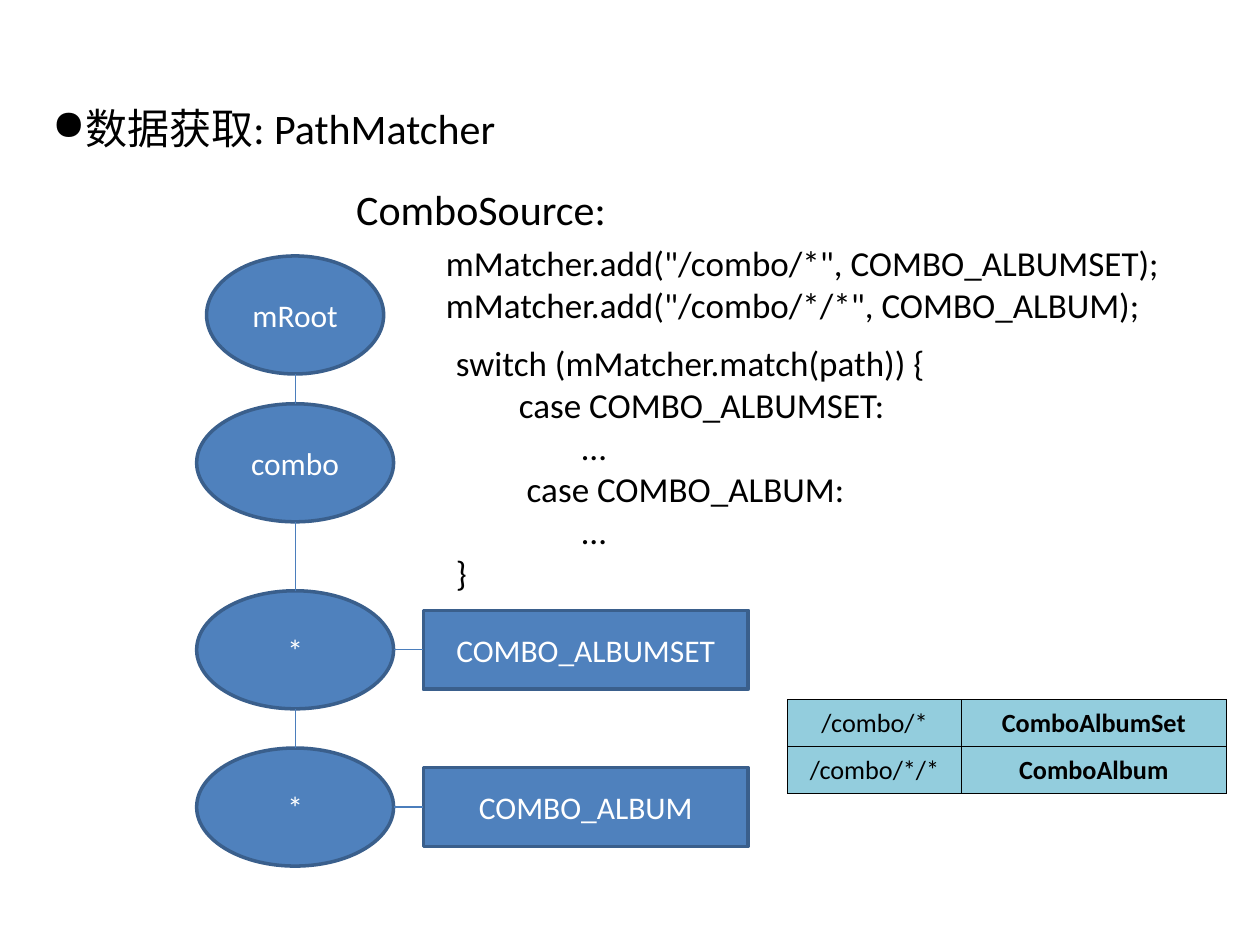
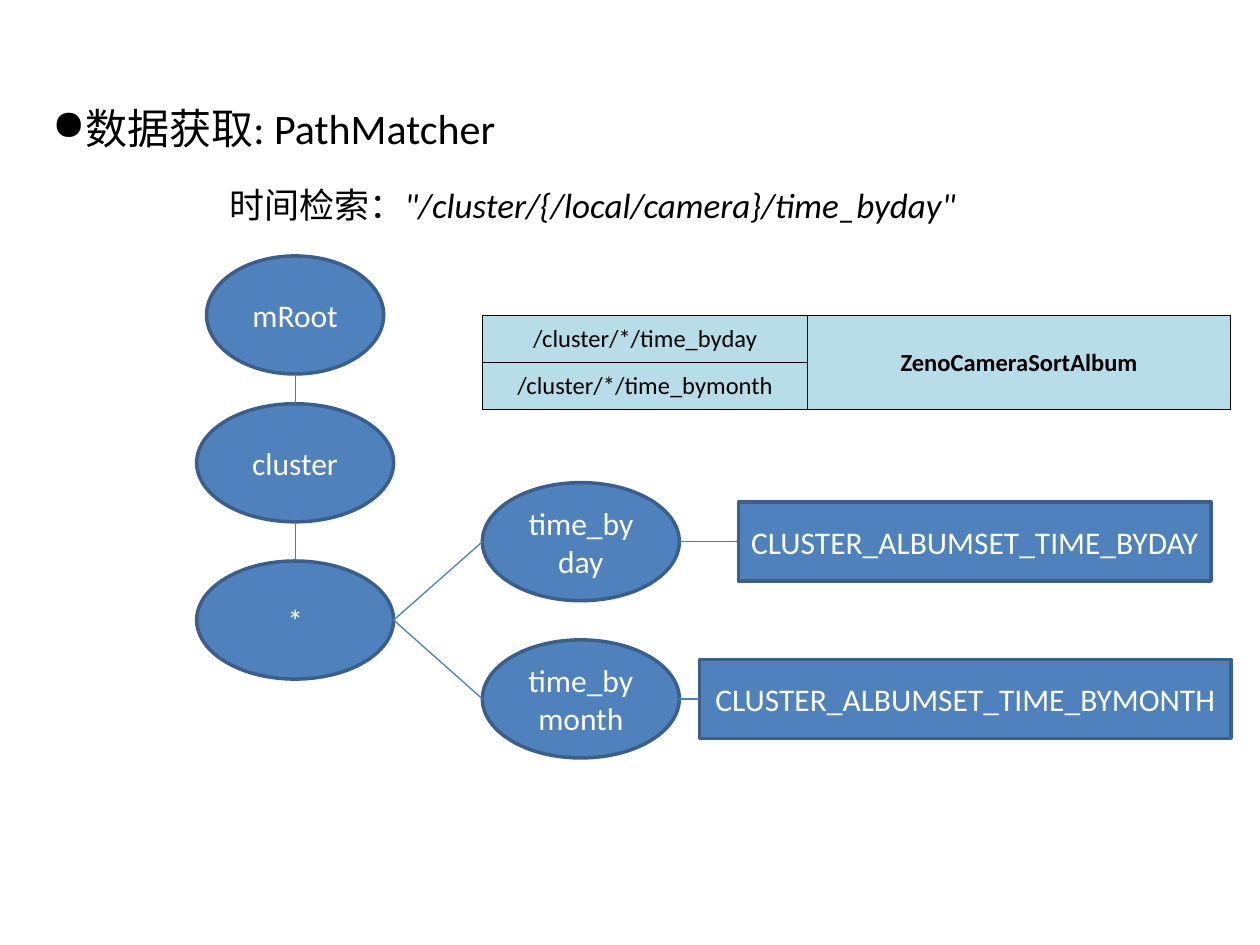
from lxml import etree
from pptx import Presentation
from pptx import util as u
from pptx.dml import color
from pptx.enum import shapes, text
from pptx.oxml import ns

COLORS = {
    "ink": "000000",
    "white": "FFFFFF",
    "node": "4F81BD",
    "node_edge": "3A5F8C",
    "link": "4B7EBC",
    "teal": "93CDDD",
    "pale_teal": "B6DDE8",
}
FONT = "Calibri"
NODE_WIDTH, ROOT_WIDTH, NODE_HEIGHT = 3.97, 3.57, 2.38
LABEL_HEIGHT = 1.59
ROW_HEIGHT = 0.95
TRUNK_X, BRANCH_X = 5.95, 11.71
ROOT_Y, FIRST_Y = 6.35, 9.33
TOP, LEFT = 0, 1


def rgb(name):
    return color.RGBColor.from_string(COLORS[name])


class SlideWriter:
    """Holds the style and the current slide; all lengths are centimetres."""

    def __init__(self, deck):
        self.deck = deck
        self.page = None

    def new_page(self):
        self.page = self.deck.slides.add_slide(self.deck.slide_layouts[6])
        self.title("数据获取: PathMatcher")

    def add_span(self, para, words, size, ink="ink", bold=False, italic=False):
        span = para.add_run()
        span.text = words
        span.font.name = FONT
        span.font.size = u.Pt(size)
        span.font.bold = bold
        span.font.italic = italic
        span.font.color.rgb = rgb(ink)

    def text_box(self, left, top, width, height, lines, size):
        """Each line is a list of (words, italic) pairs."""
        box = self.page.shapes.add_textbox(
            u.Cm(left), u.Cm(top), u.Cm(width), u.Cm(height))
        frame = box.text_frame
        frame.word_wrap = True
        for index, line in enumerate(lines):
            para = frame.add_paragraph() if index else frame.paragraphs[0]
            for words, italic in line:
                self.add_span(para, words, size, italic=italic)
        return box

    def title(self, words):
        box = self.text_box(0.8, 1.78, 18.36, 1.6, [[(words, False)]], 24)
        box.text_frame.vertical_anchor = text.MSO_ANCHOR.MIDDLE
        props = box.text_frame.paragraphs[0]._p.get_or_add_pPr()
        indent = u.Cm(0.57)
        props.set("marL", str(indent))
        props.set("indent", str(-indent))
        etree.SubElement(props, ns.qn("a:buChar"), char="●")

    def shape(self, kind, center_x, center_y, width, height, words):
        box = self.page.shapes.add_shape(
            kind, u.Cm(center_x - width / 2), u.Cm(center_y - height / 2),
            u.Cm(width), u.Cm(height))
        box.shadow.inherit = False
        box.fill.solid()
        box.fill.fore_color.rgb = rgb("node")
        box.line.color.rgb = rgb("node_edge")
        box.line.width = u.Pt(2)
        frame = box.text_frame
        frame.word_wrap = True
        frame.vertical_anchor = text.MSO_ANCHOR.MIDDLE
        para = frame.paragraphs[0]
        para.alignment = text.PP_ALIGN.CENTER
        self.add_span(para, words, 18, "white")
        return box

    def node(self, center_x, center_y, words, width=NODE_WIDTH):
        return self.shape(shapes.MSO_SHAPE.OVAL, center_x, center_y,
                          width, NODE_HEIGHT, words)

    def label(self, node, center_x, width, words):
        """A rectangle level with a node and linked to its right side."""
        center_y = u.Length(node.top + node.height // 2).cm
        box = self.shape(shapes.MSO_SHAPE.RECTANGLE, center_x, center_y,
                         width, LABEL_HEIGHT, words)
        box.text_frame.margin_left = box.text_frame.margin_right = u.Cm(0.1)
        self.link_right(node, box)

    def link(self, start_x, start_y, target, side):
        line = self.page.shapes.add_connector(
            shapes.MSO_CONNECTOR.STRAIGHT, start_x, start_y, start_x, start_y)
        line.end_connect(target, side)
        line.line.color.rgb = rgb("link")
        line.line.width = u.Pt(0.75)
        etree.SubElement(line._element.spPr, ns.qn("a:effectLst"))
        return line

    def link_down(self, upper, lower):
        self.link(upper.left + upper.width // 2, upper.top + upper.height,
                  lower, TOP)

    def link_right(self, node, target):
        line = self.link(node.left + node.width, node.top + node.height // 2,
                         target, LEFT)
        if target.auto_shape_type == shapes.MSO_SHAPE.OVAL:
            # The left side of an oval is a different connection site.
            end_x, end_y = line.end_x, line.end_y
            for joint in line._element.iter(ns.qn("a:endCxn")):
                joint.set("idx", "2")
            line.end_x, line.end_y = end_x, end_y

    def trunk(self, names, centers):
        """A chain of nodes from the root downwards."""
        nodes = [self.node(TRUNK_X, ROOT_Y, "mRoot", ROOT_WIDTH)]
        for words, center_y in zip(names, centers):
            nodes.append(self.node(TRUNK_X, center_y, words))
            self.link_down(*nodes[-2:])
        return nodes

    def border(self, cell):
        props = cell._tc.get_or_add_tcPr()
        for side in ("lnL", "lnR", "lnT", "lnB"):
            edge = etree.SubElement(props, ns.qn("a:" + side), w=str(u.Pt(0.5)))
            fill = etree.SubElement(edge, ns.qn("a:solidFill"))
            etree.SubElement(fill, ns.qn("a:srgbClr"), val=COLORS["ink"])

    def table(self, left, top, widths, rows, size, fill):
        """The last column is bold; None continues the cell above."""
        grid = self.page.shapes.add_table(
            len(rows), len(widths), u.Cm(left), u.Cm(top),
            u.Cm(sum(widths)), u.Cm(ROW_HEIGHT * len(rows))).table
        grid.first_row = grid.horz_banding = False
        for column, width in zip(grid.columns, widths):
            column.width = u.Cm(width)
        for r, row in enumerate(rows):
            grid.rows[r].height = u.Cm(ROW_HEIGHT)
            for c, words in enumerate(row):
                cell = grid.cell(r, c)
                self.border(cell)
                cell.fill.solid()
                cell.fill.fore_color.rgb = rgb(fill)
                cell.margin_left = cell.margin_right = u.Cm(0.03)
                cell.margin_top, cell.margin_bottom = u.Cm(0.03), 0
                cell.vertical_anchor = text.MSO_ANCHOR.MIDDLE
                if words is None:
                    grid.cell(r - 1, c).merge(cell)
                    continue
                para = cell.text_frame.paragraphs[0]
                para.alignment = text.PP_ALIGN.CENTER
                self.add_span(para, words, size, bold=c == len(widths) - 1)


def combo_page(writer):
    writer.new_page()

    # Code excerpt
    writer.text_box(6.93, 3.58, 13.69, 1.27, [[("ComboSource:", False)]], 24)
    matcher_lines = [
        'mMatcher.add("/combo/*", COMBO_ALBUMSET);',
        'mMatcher.add("/combo/*/*", COMBO_ALBUM);',
    ]
    switch_lines = [
        "switch (mMatcher.match(path)) {",
        "\tcase COMBO_ALBUMSET:",
        "\t\t…",
        "\t case COMBO_ALBUM:",
        "\t\t…",
        "}",
    ]
    for left, top, width, height, lines in (
            (8.74, 4.75, 16.08, 1.96, matcher_lines),
            (8.94, 6.76, 12.9, 5.38, switch_lines)):
        writer.text_box(left, top, width, height,
                        [[(line, False)] for line in lines], 20)

    # Path tree with its match results
    nodes = writer.trunk(["combo", "*", "*"], [FIRST_Y, 13.1, 16.27])
    for node, words in zip(nodes[2:], ["COMBO_ALBUMSET", "COMBO_ALBUM"]):
        writer.label(node, 11.81, 6.55, words)

    # Path to class table
    writer.table(15.88, 14.1, [3.5, 5.34],
                 [["/combo/*", "ComboAlbumSet"],
                  ["/combo/*/*", "ComboAlbum"]], 15, "teal")


def cluster_page(writer):
    writer.new_page()
    writer.text_box(4.37, 3.58, 17.65, 1.12,
                    [[("时间检索：", False),
                      ('"/cluster/{/local/camera}/time_byday"', True)]], 20)

    # Path tree with two branches
    nodes = writer.trunk(["cluster", "*"], [FIRST_Y, 12.5])
    for center_y, words, label_x, label_width, result in (
            (10.92, "time_byday", 19.65, 9.53, "CLUSTER_ALBUMSET_TIME_BYDAY"),
            (14.09, "time_bymonth", 19.46, 10.72,
             "CLUSTER_ALBUMSET_TIME_BYMONTH")):
        branch = writer.node(BRANCH_X, center_y, words)
        writer.link_right(nodes[-1], branch)
        writer.label(branch, label_x, label_width, result)

    # Path to class table
    writer.table(9.73, 6.35, [6.55, 8.53],
                 [["/cluster/*/time_byday", "ZenoCameraSortAlbum"],
                  ["/cluster/*/time_bymonth", None]], 14, "pale_teal")


def main():
    deck = Presentation()
    deck.slide_width, deck.slide_height = u.Cm(25.4), u.Cm(19.05)
    writer = SlideWriter(deck)
    combo_page(writer)
    cluster_page(writer)
    deck.save("out.pptx")


if __name__ == "__main__":
    main()
